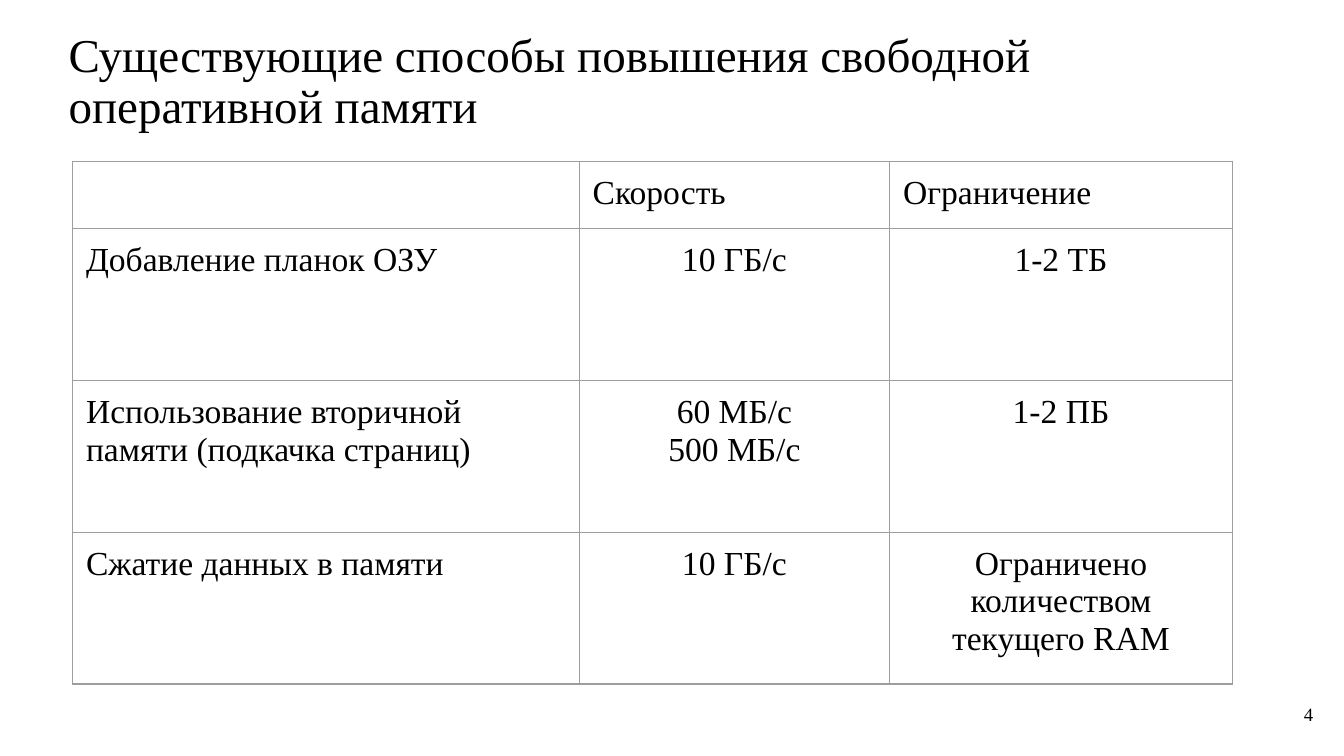
from lxml import etree
from pptx import Presentation
from pptx.dml.color import RGBColor
from pptx.enum.text import MSO_ANCHOR, PP_ALIGN
from pptx.oxml.ns import qn
from pptx.util import Inches, Pt

LEFT, CENTER, RIGHT = PP_ALIGN.LEFT, PP_ALIGN.CENTER, PP_ALIGN.RIGHT
MIDDLE, TOP = MSO_ANCHOR.MIDDLE, MSO_ANCHOR.TOP
BLACK = RGBColor(0x00, 0x00, 0x00)
WHITE = RGBColor(0xFF, 0xFF, 0xFF)
GRAY = RGBColor(0x9E, 0x9E, 0x9E)
FONT = "Times New Roman"

COLS = [3.77, 2.31, 2.55]
ROWS = [0.5, 1.13, 1.13, 1.13]
DATA = [
    ["", "Скорость", "Ограничение"],
    ["Добавление планок ОЗУ", "10 ГБ/с", "1-2 ТБ"],
    ["Использование вторичной памяти (подкачка страниц)",
     "60 МБ/с\n500 МБ/с", "1-2 ПБ"],
    ["Сжатие данных в памяти", "10 ГБ/с",
     "Ограничено количеством текущего RAM"],
]


class Page:
    def __init__(self, slide):
        self.slide = slide

    def style(self, frame, size, align, space=None):
        for para in frame.paragraphs:
            para.alignment = align
            para.line_spacing = space
            para.font.name = FONT
            para.font.size = Pt(size)
            para.font.color.rgb = BLACK

    def inset(self, item, side, edge):
        item.margin_left = item.margin_right = Inches(side)
        item.margin_top = item.margin_bottom = Inches(edge)

    def text(self, box, words, size, align=LEFT, space=None, pad=(0.1, 0.1)):
        frame = self.slide.shapes.add_textbox(*map(Inches, box)).text_frame
        frame.word_wrap = True
        frame.vertical_anchor = MIDDLE
        self.inset(frame, *pad)
        frame.text = words
        self.style(frame, size, align, space)

    def border(self, cell):
        props = cell._tc.get_or_add_tcPr()
        for spot, side in enumerate(("lnL", "lnR", "lnT", "lnB")):
            line = etree.Element(qn(f"a:{side}"), w=str(Pt(0.75)))
            fill = etree.SubElement(line, qn("a:solidFill"))
            etree.SubElement(fill, qn("a:srgbClr"), val=str(GRAY))
            props.insert(spot, line)

    def table(self, left, top, cols, rows, data, size):
        table = self.slide.shapes.add_table(
            len(rows), len(cols), Inches(left), Inches(top),
            Inches(sum(cols)), Inches(sum(rows))).table
        table.first_row = table.horz_banding = False
        for col, width in zip(table.columns, cols):
            col.width = Inches(width)
        for row, height in zip(table.rows, rows):
            row.height = Inches(height)
        for r, line in enumerate(data):
            for c, words in enumerate(line):
                cell = table.cell(r, c)
                cell.text = words
                cell.vertical_anchor = TOP
                self.inset(cell, 0.1, 0.1)
                # Only the value cells are painted
                if r and c:
                    cell.fill.solid()
                    cell.fill.fore_color.rgb = WHITE
                else:
                    cell.fill.background()
                self.border(cell)
                self.style(cell.text_frame, size, CENTER if r and c else LEFT)


def main():
    deck = Presentation()
    # Widescreen, 16 to 9
    deck.slide_width = Inches(10)
    deck.slide_height = Inches(10 * 9 / 16)
    page = Page(deck.slides.add_slide(deck.slide_layouts[6]))

    # Title
    page.text((0.44, 0.38, 9.11, 0.47),
              "Существующие способы повышения свободной оперативной памяти",
              25.2, space=0.9, pad=(0.07, 0.04))

    # Comparison of methods
    page.table(0.54, 1.2, COLS, ROWS, DATA, 18)

    # Page number
    page.text((9.27, 5.1, 0.6, 0.43), "4", 10, RIGHT)

    deck.save("out.pptx")


if __name__ == "__main__":
    main()
